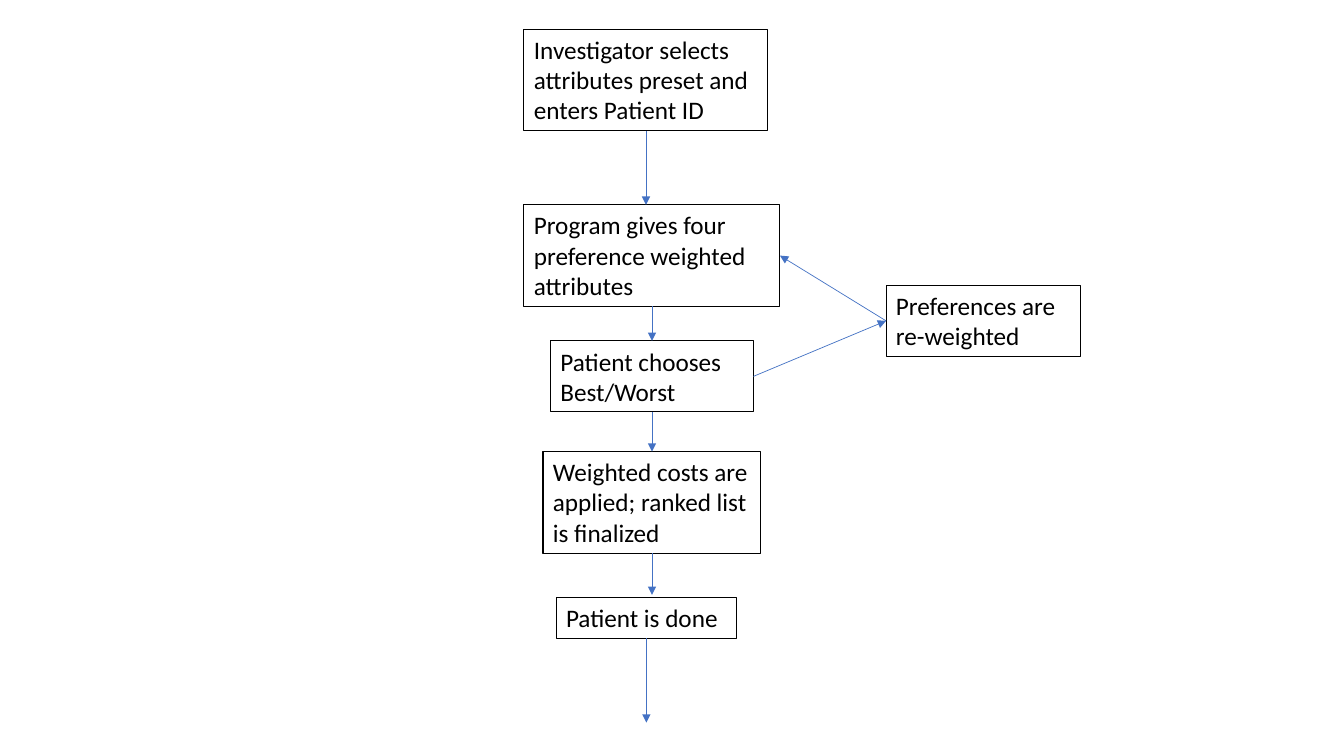
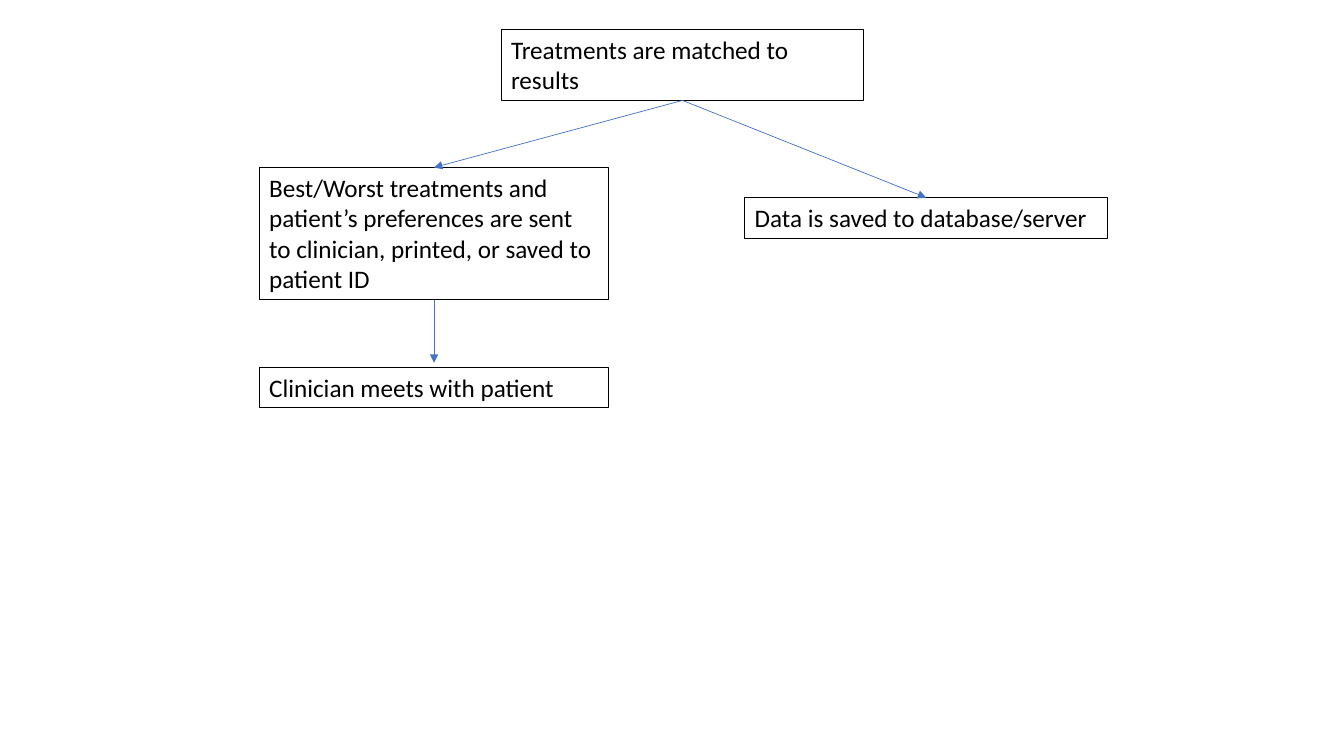
from dataclasses import dataclass

from lxml.etree import SubElement
from pptx import Presentation
from pptx.dml.color import RGBColor
from pptx.enum.shapes import MSO_CONNECTOR
from pptx.enum.text import MSO_ANCHOR, MSO_AUTO_SIZE, PP_ALIGN
from pptx.oxml.ns import qn
from pptx.util import Cm, Pt


@dataclass(frozen=True)
class Theme:
    ink: RGBColor = RGBColor(0x00, 0x00, 0x00)
    arrow: RGBColor = RGBColor(0x44, 0x72, 0xC4)
    font: str = "Calibri"
    size: float = 18
    border: float = 0.75
    stroke: float = 0.5
    pad: float = 0.25   # box height beyond its lines, cm
    row: float = 0.77   # height of one text line, cm


# Connection sites of a box
TOP, LEFT, BOTTOM, RIGHT = range(4)


class Chart:
    """Flow chart builder: holds the theme and the current slide."""

    def __init__(self, theme):
        self.theme = theme
        self.deck = Presentation()
        self.deck.slide_width, self.deck.slide_height = Cm(33.87), Cm(19.05)
        self.slide = None

    def page(self):
        self.slide = self.deck.slides.add_slide(self.deck.slide_layouts[6])

    def box(self, text, mid, top, width, rows):
        """Framed step, centred on mid and as tall as its text rows."""
        theme = self.theme
        step = self.slide.shapes.add_textbox(
            Cm(mid - width / 2), Cm(top),
            Cm(width), Cm(theme.pad + theme.row * rows))
        step.line.color.rgb = theme.ink
        step.line.width = Pt(theme.border)
        frame = step.text_frame
        frame.word_wrap = True
        frame.auto_size = MSO_AUTO_SIZE.SHAPE_TO_FIT_TEXT
        frame.vertical_anchor = MSO_ANCHOR.TOP
        para = frame.paragraphs[0]
        para.alignment = PP_ALIGN.LEFT
        run = para.add_run()
        run.text = text
        run.font.name = theme.font
        run.font.size = Pt(theme.size)
        run.font.color.rgb = theme.ink
        return step

    def arrow(self, start, site, x, y):
        """Arrow from a site of a box to a point."""
        line = self.slide.shapes.add_connector(
            MSO_CONNECTOR.STRAIGHT, x, y, x, y)
        line.begin_connect(start, site)
        line.line.color.rgb = self.theme.arrow
        line.line.width = Pt(self.theme.stroke)
        SubElement(line.get_or_add_ln(), qn("a:tailEnd"), type="triangle")
        SubElement(line._element.spPr, qn("a:effectLst"))
        return line

    def link(self, start, end, out=BOTTOM, into=TOP):
        """Arrow glued to a box at both ends."""
        line = self.arrow(start, out, end.left, end.top)
        line.end_connect(end, into)

    def drop(self, start, y):
        """Arrow straight down from a box to height y."""
        self.arrow(start, BOTTOM, start.left + start.width // 2, y)


def survey(chart):
    chart.page()
    # Steps
    axis = 16.43
    setup = chart.box(
        "Investigator selects attributes preset and enters Patient ID",
        16.28, 0.74, 6.15, 3)
    offer = chart.box("Program gives four preference weighted attributes",
                      axis, 5.16, 6.45, 3)
    choice = chart.box("Patient chooses Best/Worst", axis, 8.59, 5.11, 2)
    weight = chart.box("Preferences are re-weighted", 24.78, 7.19, 4.9, 2)
    rank = chart.box("Weighted costs are applied; ranked list is finalized",
                     axis, 11.38, 5.49, 3)
    done = chart.box("Patient is done", 16.29, 15.06, 4.55, 1)
    # Main flow
    chart.drop(setup, offer.top)
    chart.link(offer, choice)
    chart.link(choice, rank)
    chart.drop(rank, Cm(14.99))
    chart.drop(done, Cm(18.21))
    # Loop back
    chart.link(choice, weight, RIGHT, LEFT)
    chart.link(weight, offer, LEFT, RIGHT)


def results(chart):
    chart.page()
    # Steps
    axis = 10.94
    match = chart.box("Treatments are matched to results",
                      17.2, 0.74, 9.14, 2)
    report = chart.box(
        "Best/Worst treatments and patient’s preferences are sent to "
        "clinician, printed, or saved to patient ID", axis, 4.22, 8.81, 4)
    store = chart.box("Data is saved to database/server",
                      23.34, 4.98, 9.14, 1)
    chart.box("Clinician meets with patient", axis, 9.25, 8.81, 1)
    # Branches
    chart.link(match, report)
    chart.link(match, store)
    chart.drop(report, Cm(9.14))


def main():
    chart = Chart(Theme())
    survey(chart)
    results(chart)
    chart.deck.save("out.pptx")


if __name__ == "__main__":
    main()
